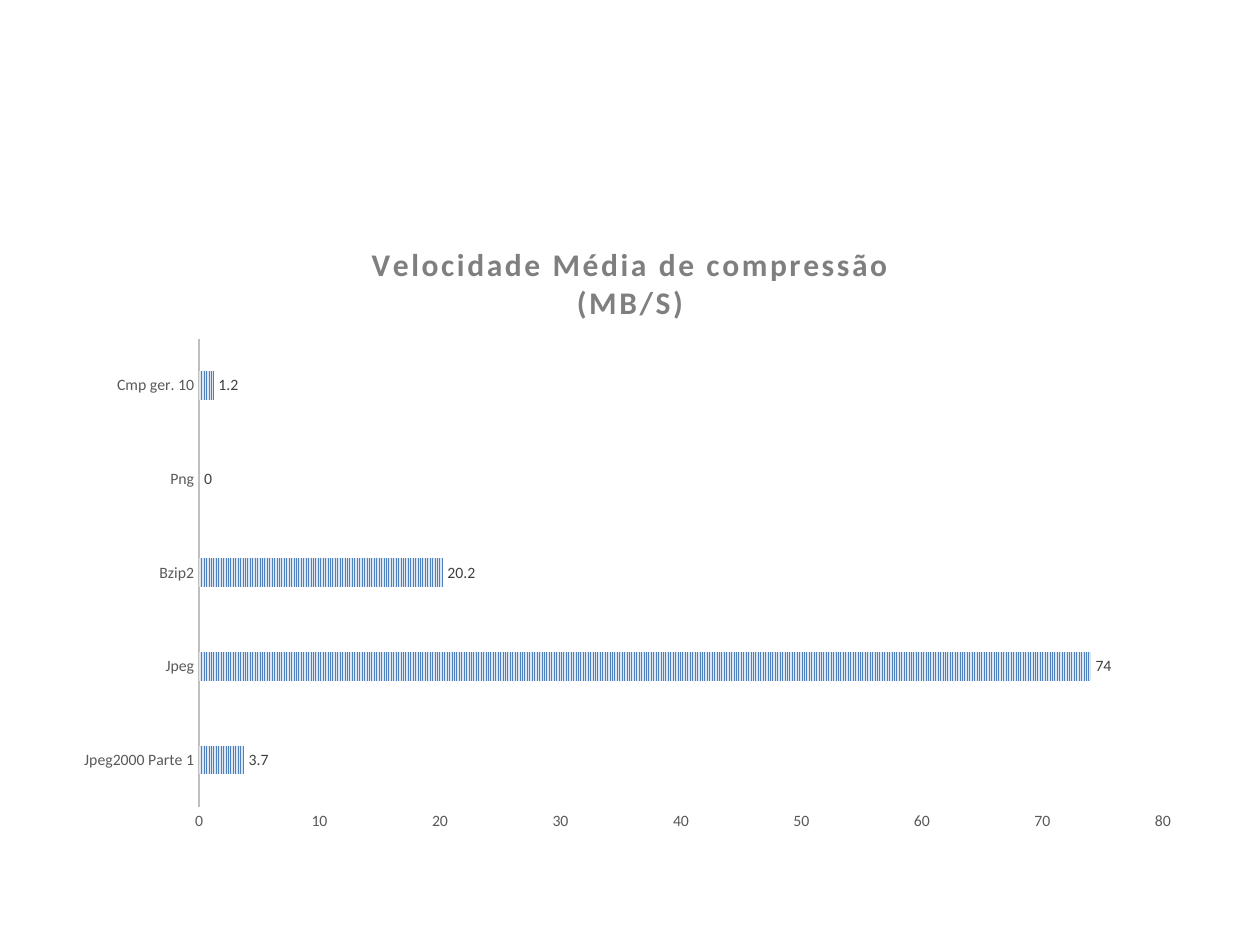
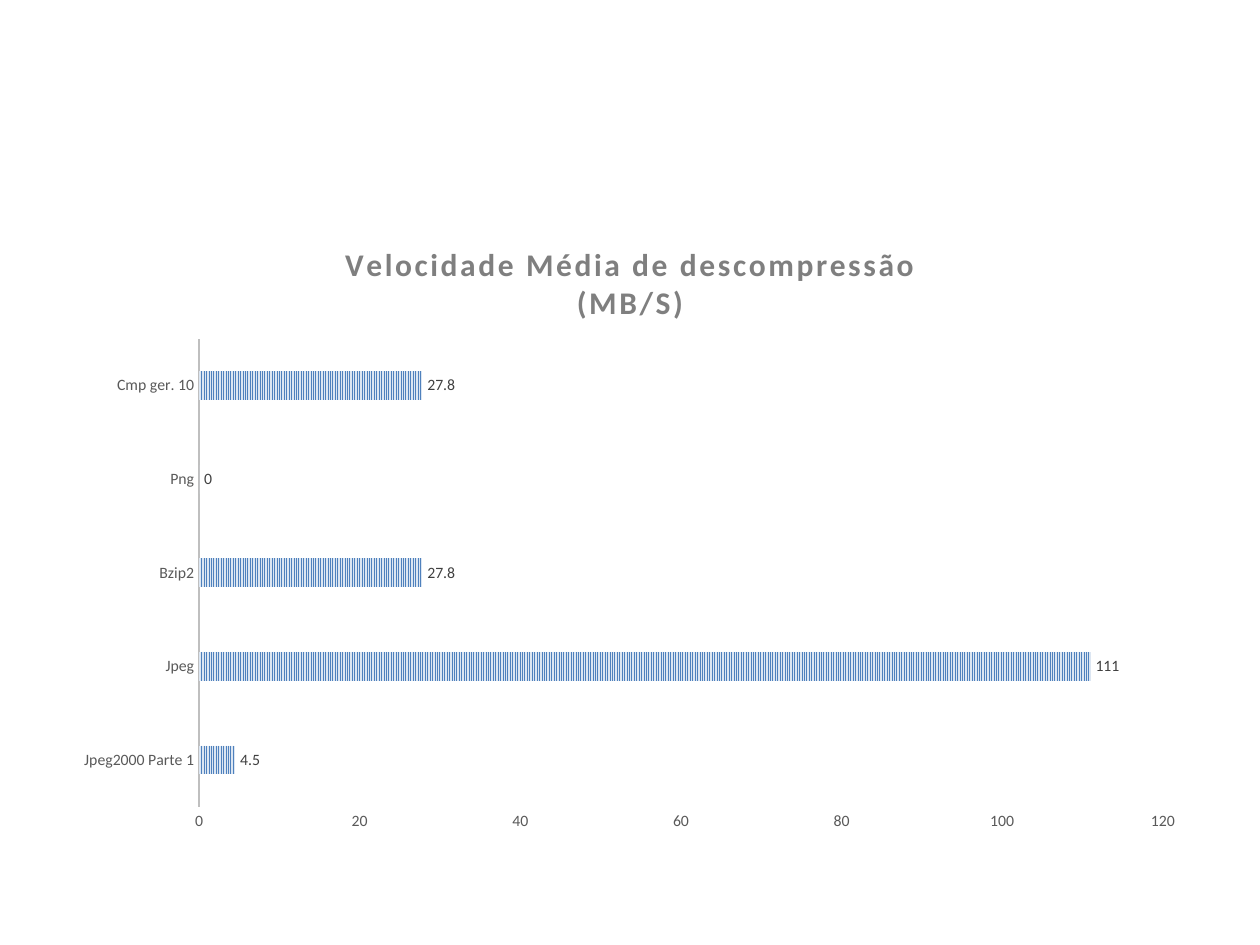
from lxml import etree
from pptx import Presentation
from pptx.chart.data import CategoryChartData
from pptx.dml.color import RGBColor
from pptx.enum.chart import XL_CHART_TYPE, XL_LABEL_POSITION, XL_TICK_MARK
from pptx.enum.dml import MSO_PATTERN
from pptx.oxml.ns import qn
from pptx.util import Inches, Pt

BAR_CLUSTERED = XL_CHART_TYPE.BAR_CLUSTERED
OUTSIDE_END = XL_LABEL_POSITION.OUTSIDE_END
NO_TICK = XL_TICK_MARK.NONE
NARROW_VERTICAL = MSO_PATTERN.NARROW_VERTICAL

BLACK = RGBColor(0x00, 0x00, 0x00)
TITLE_GRAY = RGBColor(0x7F, 0x7F, 0x7F)
AXIS_TEXT = RGBColor(0x59, 0x59, 0x59)
AXIS_LINE = RGBColor(0xBF, 0xBF, 0xBF)
LABEL_TEXT = RGBColor(0x40, 0x40, 0x40)
BAR_BLUE = RGBColor(0x4F, 0x81, 0xBD)
BAR_PALE = RGBColor(0xDC, 0xE6, 0xF2)

FONT = "Calibri"
TITLE_SPACING = 150  # hundredths of a point
CHART_FRAME = [Inches(n) for n in (0.5, 1.75, 9, 4.95)]
PLOT_LAYOUT = {"x": 0.12, "y": 0.19, "w": 0.85, "h": 0.75}

FORMATS = ["Jpeg2000 Parte 1", "Jpeg", "Bzip2", "Png", "Cmp ger. 10"]
# Title, speeds, end and step of the value axis
SPEED_CHARTS = [
    ("Velocidade Média de compressão", (3.7, 74, 20.2, 0, 1.2), 80, 10),
    ("Velocidade Média de descompressão", (4.5, 111, 27.8, 0, 27.8), 120, 20),
]


def set_all(target, values):
    for name, value in values.items():
        setattr(target, name, value)


def style_font(font, size, color, bold=False):
    set_all(font, {"name": FONT, "size": Pt(size), "bold": bold})
    font.color.rgb = color


def add_title(chart, lines):
    frame = chart.chart_title.text_frame
    for index, line in enumerate(lines):
        para = frame.add_paragraph() if index else frame.paragraphs[0]
        span = para.add_run()
        span.text = line
        style_font(span.font, 18, TITLE_GRAY, bold=True)
        span.font._element.set("spc", str(TITLE_SPACING))
    chart.chart_title.include_in_layout = False


def place_plot(chart):
    """Fix the inner plot area as fractions of the chart frame."""
    plot_area = chart._chartSpace.find(".//" + qn("c:plotArea"))
    layout = plot_area.find(qn("c:layout"))
    if layout is None:
        layout = etree.Element(qn("c:layout"))
        plot_area.insert(0, layout)
    manual = etree.SubElement(layout, qn("c:manualLayout"))
    settings = {"layoutTarget": "inner", "xMode": "edge", "yMode": "edge"}
    for tag, value in {**settings, **PLOT_LAYOUT}.items():
        etree.SubElement(manual, qn("c:" + tag)).set("val", str(value))


def style_axes(chart, maximum, step):
    for axis in (chart.category_axis, chart.value_axis):
        set_all(axis, {"has_major_gridlines": False,
                       "major_tick_mark": NO_TICK,
                       "minor_tick_mark": NO_TICK})
        style_font(axis.tick_labels.font, 9, AXIS_TEXT)
    line = chart.category_axis.format.line
    line.color.rgb = AXIS_LINE
    line.width = Pt(1.5)
    set_all(chart.value_axis, {"minimum_scale": 0, "maximum_scale": maximum,
                               "major_unit": step})
    chart.value_axis.format.line.fill.background()


def style_bars(plot):
    set_all(plot, {"gap_width": 227, "overlap": -48,
                   "vary_by_categories": False, "has_data_labels": True})
    set_all(plot.data_labels, {"show_value": True, "position": OUTSIDE_END})
    style_font(plot.data_labels.font, 9, LABEL_TEXT)
    bars = plot.series[0].format
    bars.fill.patterned()
    bars.fill.pattern = NARROW_VERTICAL
    bars.fill.fore_color.rgb = BAR_BLUE
    bars.fill.back_color.rgb = BAR_PALE
    bars.line.fill.background()


def add_speed_slide(deck, title, speeds, maximum, step):
    page = deck.slides.add_slide(deck.slide_layouts[6])
    data = CategoryChartData()
    data.categories = FORMATS
    data.add_series("Series 1", speeds)
    chart = page.shapes.add_chart(BAR_CLUSTERED, *CHART_FRAME, data).chart
    chart.has_legend = False
    style_font(chart.font, 10, BLACK)
    add_title(chart, (title, "(MB/S)"))
    style_axes(chart, maximum, step)
    style_bars(chart.plots[0])
    place_plot(chart)


def main():
    deck = Presentation()
    set_all(deck, {"slide_width": Inches(10), "slide_height": Inches(7.5)})
    for speed_chart in SPEED_CHARTS:
        add_speed_slide(deck, *speed_chart)
    deck.save("out.pptx")


main()
